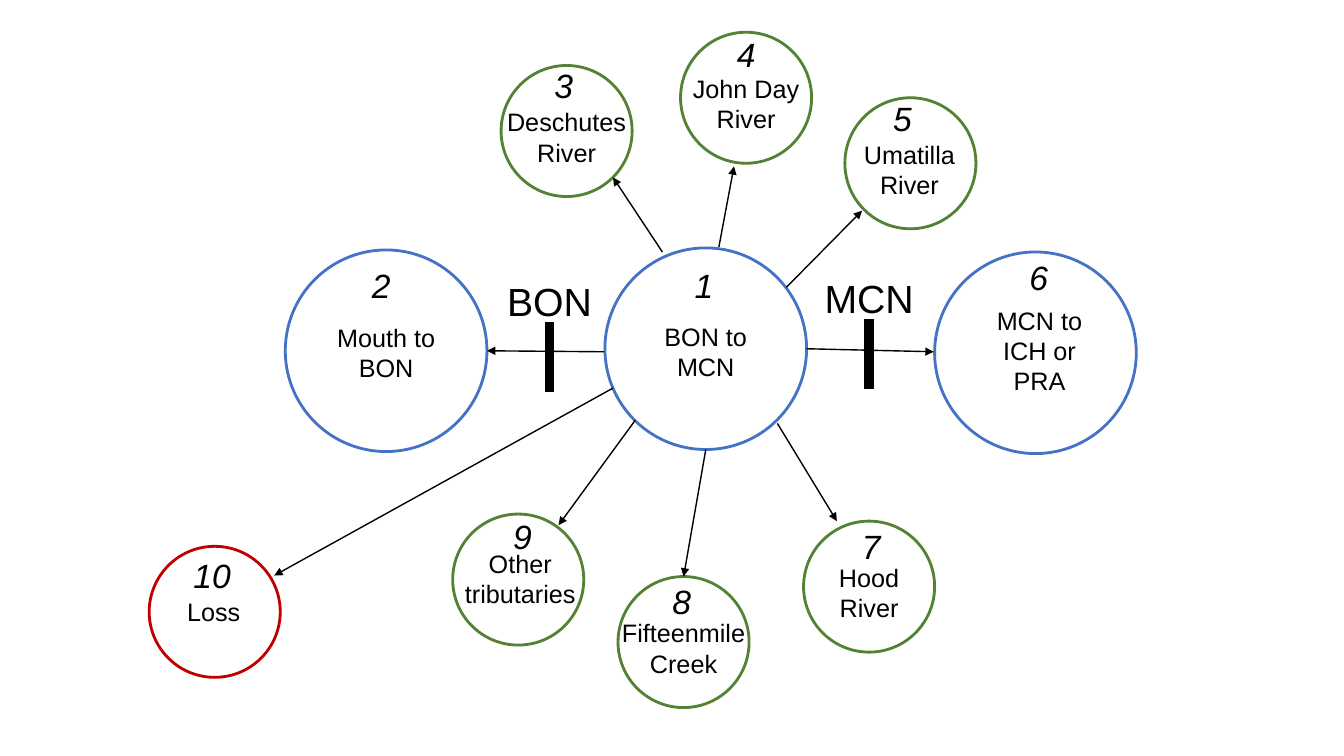
"""Draw the river reach diagram: ten states linked to the central reach."""
import dataclasses

import lxml.etree
import pptx
import pptx.dml.color
import pptx.enum.shapes
import pptx.enum.text
import pptx.oxml.ns
import pptx.slide
import pptx.util

COLS, ROWS = 133.3, 75
BLUE, GREEN, RED, BLACK = "4472C4", "548235", "C00000", "000000"
LARGE, SMALL = 20, 13
LABEL_COLS = 14.4
DAM_COLS = 21.8

prs = pptx.Presentation()
prs.slide_width = pptx.util.Inches(13.33)
prs.slide_height = pptx.util.Inches(7.5)


@dataclasses.dataclass(frozen=True)
class Reach:
    """A numbered circle with the grid places of its label and number."""
    number: str
    label: str
    col: float
    row: float
    size: float
    color: str
    label_col: float
    label_row: float
    number_col: float
    number_row: float
    lines: int = 2


@dataclasses.dataclass(frozen=True)
class Arrow:
    """A movement between two grid points."""
    col: float
    row: float
    end_col: float
    end_row: float


@dataclasses.dataclass(frozen=True)
class Dam:
    """A thick upright bar with its name above."""
    name: str
    col: float
    row: float


REACHES = [
    Reach("1", "BON to MCN", 60, 24.6, LARGE, BLUE, 62.8, 31.4, 67.9, 25.8),
    Reach("2", "Mouth to BON", 28.3, 24.8, LARGE, BLUE, 31.1, 31.5, 35.9, 25.8),
    Reach("3", "Deschutes River", 49.7, 6.5, SMALL, GREEN, 49, 10.1, 54, 5.9),
    Reach("4", "John Day\nRiver", 67.5, 3.2, SMALL, GREEN, 66.8, 6.8, 72.1, 2.9),
    Reach("5", "Umatilla\nRiver", 83.8, 9.7, SMALL, GREEN, 83, 13.3, 87.6, 9.2),
    Reach("6", "MCN to ICH or PRA", 92.7, 25, LARGE, BLUE, 95.9, 29.8, 101.1, 25, 3),
    Reach("7", "Hood River", 79.7, 51.7, SMALL, GREEN, 79, 55.3, 84.5, 51.7),
    Reach("8", "Fifteenmile\nCreek", 61.3, 57.2, SMALL, GREEN, 60.6, 60.8, 65.7, 57.1),
    Reach("9", "Other tributaries", 44.9, 51, SMALL, GREEN, 44.4, 53.9, 49.9, 50.7),
    Reach("10", "Loss", 14.8, 54.2, SMALL, RED, 14, 58.7, 18.2, 54.6, 1),
]
ARROWS = [
    Arrow(59.9, 34.9, 48.3, 34.8),
    Arrow(65.7, 25, 60.8, 17.6),
    Arrow(71.3, 24.5, 72.8, 16.5),
    Arrow(78, 28.5, 85.5, 20.9),
    Arrow(80, 34.6, 92.6, 34.9),
    Arrow(77.1, 42, 83, 51.7),
    Arrow(70, 44.6, 67.8, 57.2),
    Arrow(63, 41.7, 55.4, 52.1),
    Arrow(60.8, 38.5, 27.2, 57.1),
]
DAMS = [Dam("BON", 54.5, 31.9), Dam("MCN", 86.2, 31.6)]


def x(cols: float) -> int:
    """Return the length of a number of grid columns."""
    return round(prs.slide_width * cols / COLS)


def y(rows: float) -> int:
    """Return the length of a number of grid rows."""
    return round(prs.slide_height * rows / ROWS)


def rgb(color: str) -> pptx.dml.color.RGBColor:
    """Return the colour of a hex string."""
    return pptx.dml.color.RGBColor.from_string(color)


def add_text(s: pptx.slide.Slide, text: str, col: float, row: float,
             cols: float, rows: float, *, size: float = 18,
             italic: bool = False, centered: bool = True) -> None:
    """Add a wrapped text box with one paragraph per line of text."""
    sp = s.shapes.add_textbox(x(col), y(row), x(cols), y(rows))
    tf = sp.text_frame
    tf.word_wrap = True
    tf.auto_size = pptx.enum.text.MSO_AUTO_SIZE.SHAPE_TO_FIT_TEXT
    tf.text = text
    align = pptx.enum.text.PP_ALIGN
    for p in tf.paragraphs:
        p.alignment = align.CENTER if centered else align.LEFT
        for r in p.runs:
            r.font.name = "Arial"
            r.font.size = pptx.util.Pt(size)
            r.font.italic = italic
            r.font.color.rgb = rgb(BLACK)


def add_line(s: pptx.slide.Slide, line: Arrow, *, width: float = 1,
             head: bool = True) -> None:
    """Add a straight black line, with a triangle at its end if wanted."""
    sp = s.shapes.add_connector(
        pptx.enum.shapes.MSO_CONNECTOR.STRAIGHT,
        x(line.col), y(line.row), x(line.end_col), y(line.end_row))
    sp.line.color.rgb = rgb(BLACK)
    sp.line.width = pptx.util.Pt(width)
    qn = pptx.oxml.ns.qn
    if head:
        ln = sp.line._get_or_add_ln()
        lxml.etree.SubElement(ln, qn("a:tailEnd"), type="triangle")
    lxml.etree.SubElement(sp._element.spPr, qn("a:effectLst"))


def add_reach(s: pptx.slide.Slide, reach: Reach) -> None:
    """Add the circle, label and number of a reach."""
    sp = s.shapes.add_shape(
        pptx.enum.shapes.MSO_SHAPE.OVAL,
        x(reach.col), y(reach.row), x(reach.size), y(reach.size))
    sp.shadow.inherit = False
    sp.fill.background()
    sp.line.color.rgb = rgb(reach.color)
    sp.line.width = pptx.util.Pt(2)
    add_text(s, reach.label, reach.label_col, reach.label_row,
             LABEL_COLS, 1 + 3 * reach.lines)
    add_text(s, reach.number, reach.number_col, reach.number_row,
             1 + 2.5 * len(reach.number), 5,
             size=24, italic=True, centered=False)


def add_dam(s: pptx.slide.Slide, dam: Dam) -> None:
    """Add the bar and name of a dam."""
    add_line(s, Arrow(dam.col, dam.row, dam.col, dam.row + 7),
             width=7, head=False)
    add_text(s, dam.name, dam.col - DAM_COLS / 2, dam.row - 4.9,
             DAM_COLS, 5.7, size=28)


def main() -> None:
    """Build and save the slide."""
    s = prs.slides.add_slide(prs.slide_layouts[6])
    for reach in REACHES:
        add_reach(s, reach)
    for arrow in ARROWS:
        add_line(s, arrow)
    for dam in DAMS:
        add_dam(s, dam)
    prs.save("out.pptx")


if __name__ == "__main__":
    main()
